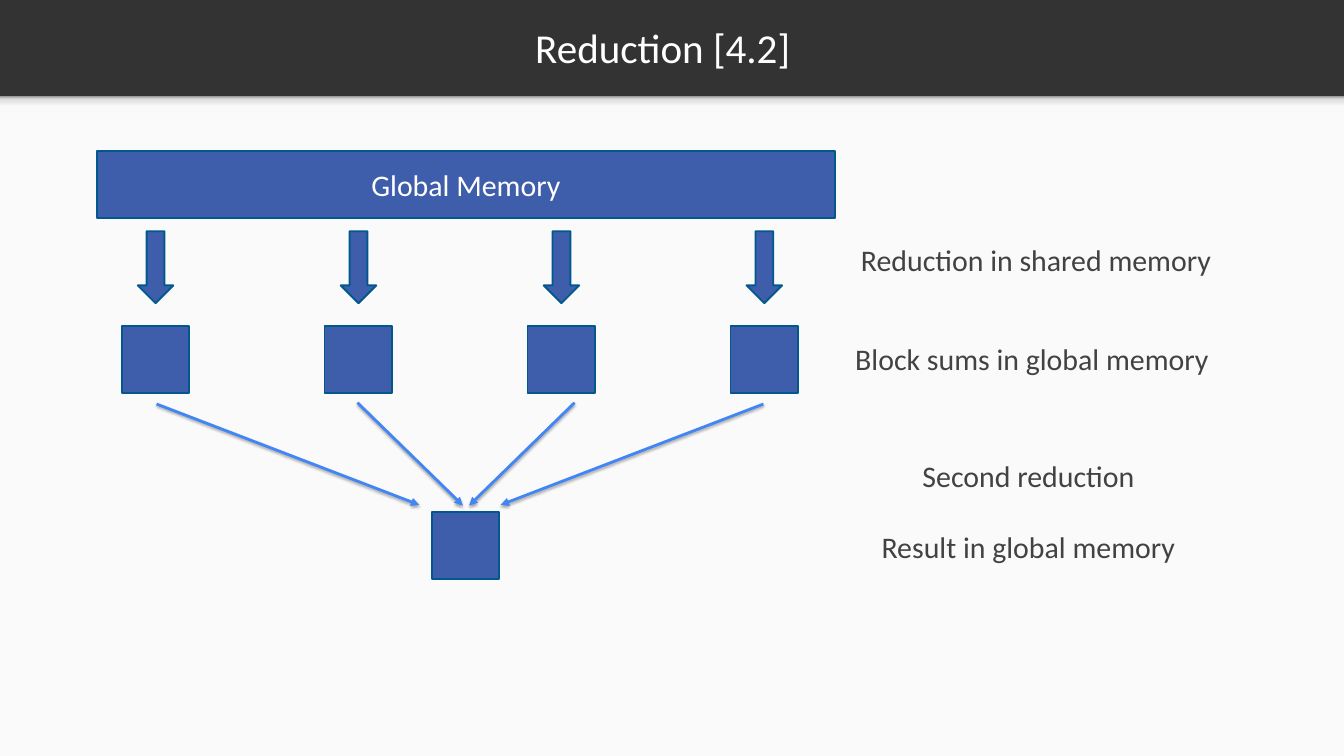
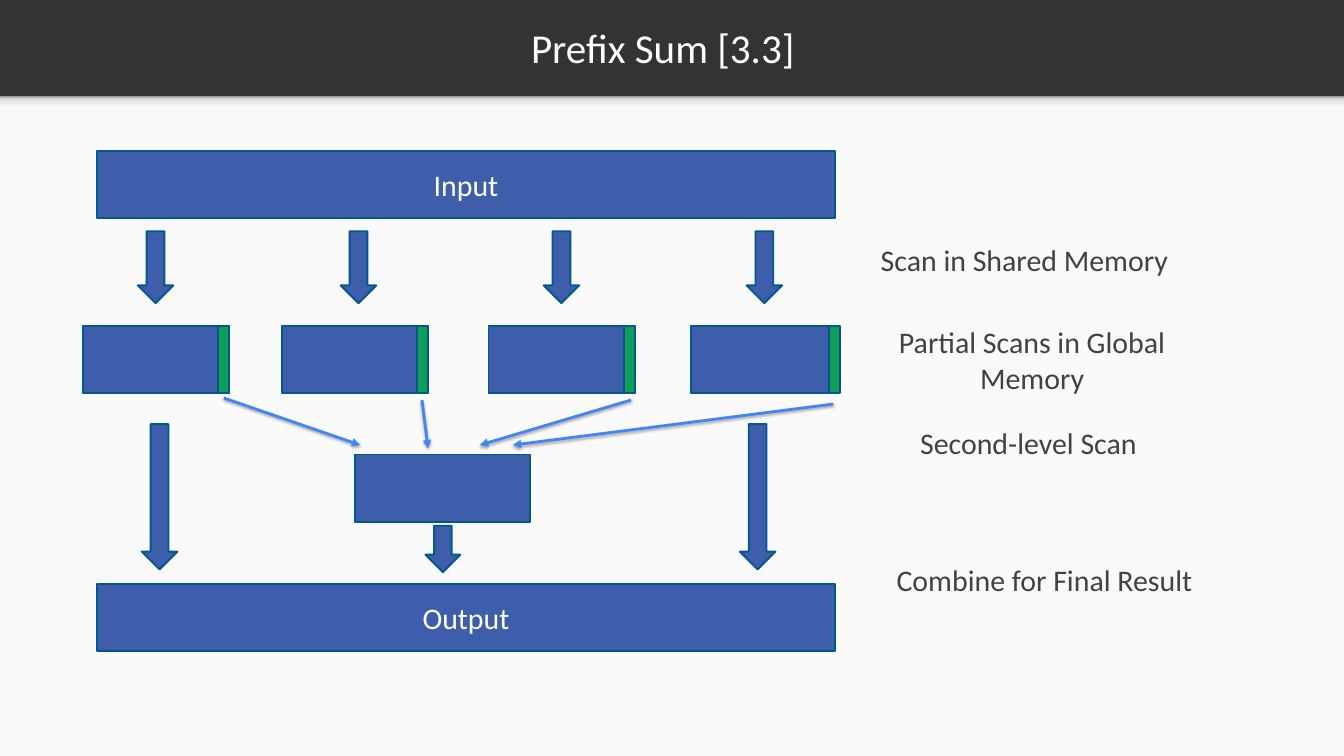
from dataclasses import dataclass

from pptx import Presentation
from pptx.dml.color import RGBColor
from pptx.enum.shapes import MSO_CONNECTOR, MSO_SHAPE
from pptx.enum.text import MSO_ANCHOR, MSO_AUTO_SIZE, PP_ALIGN
from pptx.oxml import parse_xml
from pptx.oxml.ns import nsdecls, qn
from pptx.shapes.autoshape import Shape
from pptx.slide import Slide
from pptx.util import Emu, Inches, Pt

FONT = "Calibri"
HEADER = RGBColor(0x33, 0x33, 0x33)
PAPER = RGBColor(0xFA, 0xFA, 0xFA)
WHITE = RGBColor(0xFF, 0xFF, 0xFF)
LABEL = RGBColor(0x42, 0x42, 0x42)
BLOCK = RGBColor(0x3E, 0x5D, 0xAA)
OUTLINE = RGBColor(0x01, 0x58, 0x8C)
CARRY = RGBColor(0x0F, 0x9D, 0x58)
FLOW = RGBColor(0x42, 0x85, 0xF4)

HEADER_FADE = ((0, "F9F9F9"), (36, "F9F9F9"), (80, "DEDEDE"), (100, "999999"))
SLIDE_WIDTH = 20
SLIDE_HEIGHT = Emu(10282238)
COLUMNS, PITCH = 4, 3.02
ROW_TOP, ROW_HEIGHT = 4.85, 1


@dataclass(frozen=True)
class Box:
    """Position and size in inches."""

    left: float
    top: float
    width: float
    height: float

    def lengths(self) -> tuple[Inches, Inches, Inches, Inches]:
        """Return the four values as lengths."""
        return Inches(self.left), Inches(self.top), Inches(self.width), Inches(self.height)


@dataclass(frozen=True)
class Label:
    """A caption beside the diagram."""

    text: str
    box: Box


@dataclass(frozen=True)
class Flow:
    """A thin arrow between two points in inches."""

    start: tuple[float, float]
    end: tuple[float, float]


MEMORY_BAR = Box(1.45, 2.24, 10.97, 1)
OUTPUT_BAR = Box(1.45, 8.69, 10.97, 1)

REDUCTION_LABELS = (
    Label("Reduction in shared memory", Box(12.65, 3.55, 5.54, 0.64)),
    Label("Block sums in global memory", Box(12.53, 5.02, 5.66, 0.64)),
    Label("Second reduction", Box(12.71, 6.76, 5.19, 0.64)),
    Label("Result in global memory", Box(12.71, 7.82, 5.19, 0.64)),
)
REDUCTION_FLOWS = (
    Flow((2.33, 6.01), (6.24, 7.51)),
    Flow((5.32, 5.99), (6.89, 7.52)),
    Flow((11.36, 6.01), (7.45, 7.51)),
    Flow((8.55, 5.99), (6.98, 7.52)),
)

SCAN_LABELS = (
    Label("Scan in Shared Memory", Box(12.65, 3.55, 5.19, 0.64)),
    Label("Partial Scans in Global Memory", Box(12.53, 4.76, 5.66, 1.18)),
    Label("Second-level Scan", Box(12.71, 6.27, 5.19, 0.64)),
    Label("Combine for Final Result", Box(12.95, 8.3, 5.19, 0.64)),
)
SCAN_FLOWS = (
    Flow((3.33, 5.92), (5.36, 6.62)),
    Flow((6.28, 5.95), (6.37, 6.67)),
    Flow((12.4, 6.01), (7.63, 6.62)),
    Flow((9.39, 5.95), (7.14, 6.62)),
)
SCAN_BLOCKS = ((1.23, 3.25), (4.19, 6.21), (7.27, 9.29), (10.28, 12.34))
COMBINE_ARROWS = (
    Box(6.33, 7.82, 0.52, 0.69),
    Box(2.11, 6.31, 0.53, 2.16),
    Box(11.01, 6.31, 0.53, 2.16),
)


def write_text(shape: Shape, text: str, *, size: float = 32, color: RGBColor = LABEL,
               anchor: MSO_ANCHOR = MSO_ANCHOR.MIDDLE, inset: float | None = None,
               grow: bool = False) -> None:
    """Write one centred paragraph into a shape."""
    frame = shape.text_frame
    frame.word_wrap = True
    frame.vertical_anchor = anchor
    if grow:
        frame.auto_size = MSO_AUTO_SIZE.SHAPE_TO_FIT_TEXT
    if inset is not None:
        frame.margin_left = frame.margin_right = Inches(inset)
        frame.margin_top = frame.margin_bottom = Inches(inset)
    paragraph = frame.paragraphs[0]
    paragraph.alignment = PP_ALIGN.CENTER
    run = paragraph.add_run()
    run.text = text
    run.font.name = FONT
    run.font.size = Pt(size)
    run.font.color.rgb = color


def add_box(slide: Slide, box: Box, *, kind: MSO_SHAPE = MSO_SHAPE.RECTANGLE,
            fill: RGBColor | None = BLOCK, line: RGBColor | None = OUTLINE) -> Shape:
    """Add a preset shape without a shadow."""
    shape = slide.shapes.add_shape(kind, *box.lengths())
    shape.shadow.inherit = False
    if fill is not None:
        shape.fill.solid()
        shape.fill.fore_color.rgb = fill
    if line is None:
        shape.line.fill.background()
    else:
        shape.line.color.rgb = line
        shape.line.width = Pt(2)
    return shape


def add_bar(slide: Slide, text: str, box: Box) -> None:
    """Add a wide memory bar with its name."""
    write_text(add_box(slide, box), text, color=WHITE)


def add_down_arrow(slide: Slide, box: Box) -> None:
    """Add a block arrow that points down."""
    add_box(slide, box, kind=MSO_SHAPE.DOWN_ARROW)


def add_flow(slide: Slide, flow: Flow) -> None:
    """Add a thin arrow with a soft shadow."""
    points = (Inches(value) for value in flow.start + flow.end)
    connector = slide.shapes.add_connector(MSO_CONNECTOR.STRAIGHT, *points)
    connector.line.color.rgb = FLOW
    connector.line.width = Pt(3)
    properties = connector.element.spPr
    properties.find(qn("a:ln")).append(
        parse_xml(f'<a:tailEnd {nsdecls("a")} type="triangle"/>'))
    properties.append(parse_xml(
        f'<a:effectLst {nsdecls("a")}>'
        f'<a:outerShdw blurRad="{Pt(3.1)}" dist="{Pt(1.8)}" dir="5400000" rotWithShape="0">'
        '<a:srgbClr val="000000"><a:alpha val="35000"/></a:srgbClr>'
        '</a:outerShdw></a:effectLst>'))


def add_header_fade(slide: Slide) -> None:
    """Add the soft edge below the header."""
    shape = add_box(slide, Box(0, 1.43, SLIDE_WIDTH, 0.24), fill=None, line=None)
    stops = "".join(f'<a:gs pos="{position * 1000}"><a:srgbClr val="{color}"/></a:gs>'
                    for position, color in HEADER_FADE)
    gradient = parse_xml(f'<a:gradFill {nsdecls("a")}><a:gsLst>{stops}</a:gsLst>'
                         '<a:lin ang="16200000" scaled="0"/></a:gradFill>')
    shape.element.spPr.find(qn("a:prstGeom")).addnext(gradient)


def add_diagram_slide(presentation: Presentation, title: str, source: str,
                      labels: tuple[Label, ...], flows: tuple[Flow, ...]) -> Slide:
    """Add a slide with the parts that both diagrams share."""
    slide = presentation.slides.add_slide(presentation.slide_layouts[6])
    slide.background.fill.solid()
    slide.background.fill.fore_color.rgb = HEADER
    add_box(slide, Box(0, 1.44, SLIDE_WIDTH, 9.81), fill=PAPER, line=None)
    add_header_fade(slide)
    heading = slide.shapes.add_textbox(*Box(0.21, 0.04, 19.31, 1.32).lengths())
    write_text(heading, title, size=44, color=WHITE, inset=0.2)
    add_bar(slide, source, MEMORY_BAR)
    for column in range(COLUMNS):
        add_down_arrow(slide, Box(2.05 + column * PITCH, 3.44, 0.53, 1.07))
    for label in labels:
        textbox = slide.shapes.add_textbox(*label.box.lengths())
        write_text(textbox, label.text, anchor=MSO_ANCHOR.TOP, grow=True)
    for flow in flows:
        add_flow(slide, flow)
    return slide


def build_reduction(presentation: Presentation) -> None:
    """Build the reduction slide."""
    slide = add_diagram_slide(presentation, "Reduction [4.2]", "Global Memory",
                              REDUCTION_LABELS, REDUCTION_FLOWS)
    for column in range(COLUMNS):
        add_box(slide, Box(1.81 + column * PITCH, ROW_TOP, 1, ROW_HEIGHT))
    add_box(slide, Box(6.43, 7.61, 1, 1))


def build_prefix_sum(presentation: Presentation) -> None:
    """Build the prefix sum slide."""
    slide = add_diagram_slide(presentation, "Prefix Sum [3.3]", "Input",
                              SCAN_LABELS, SCAN_FLOWS)
    for block_left, carry_left in SCAN_BLOCKS:
        add_box(slide, Box(block_left, ROW_TOP, 2.18, ROW_HEIGHT))
        add_box(slide, Box(carry_left, ROW_TOP, 0.16, ROW_HEIGHT), fill=CARRY)
    add_box(slide, Box(5.28, 6.76, 2.61, 1))
    add_bar(slide, "Output", OUTPUT_BAR)
    for arrow in COMBINE_ARROWS:
        add_down_arrow(slide, arrow)


def main() -> None:
    """Build and save the presentation."""
    presentation = Presentation()
    presentation.slide_width = Inches(SLIDE_WIDTH)
    presentation.slide_height = SLIDE_HEIGHT
    build_reduction(presentation)
    build_prefix_sum(presentation)
    presentation.save("out.pptx")


main()
